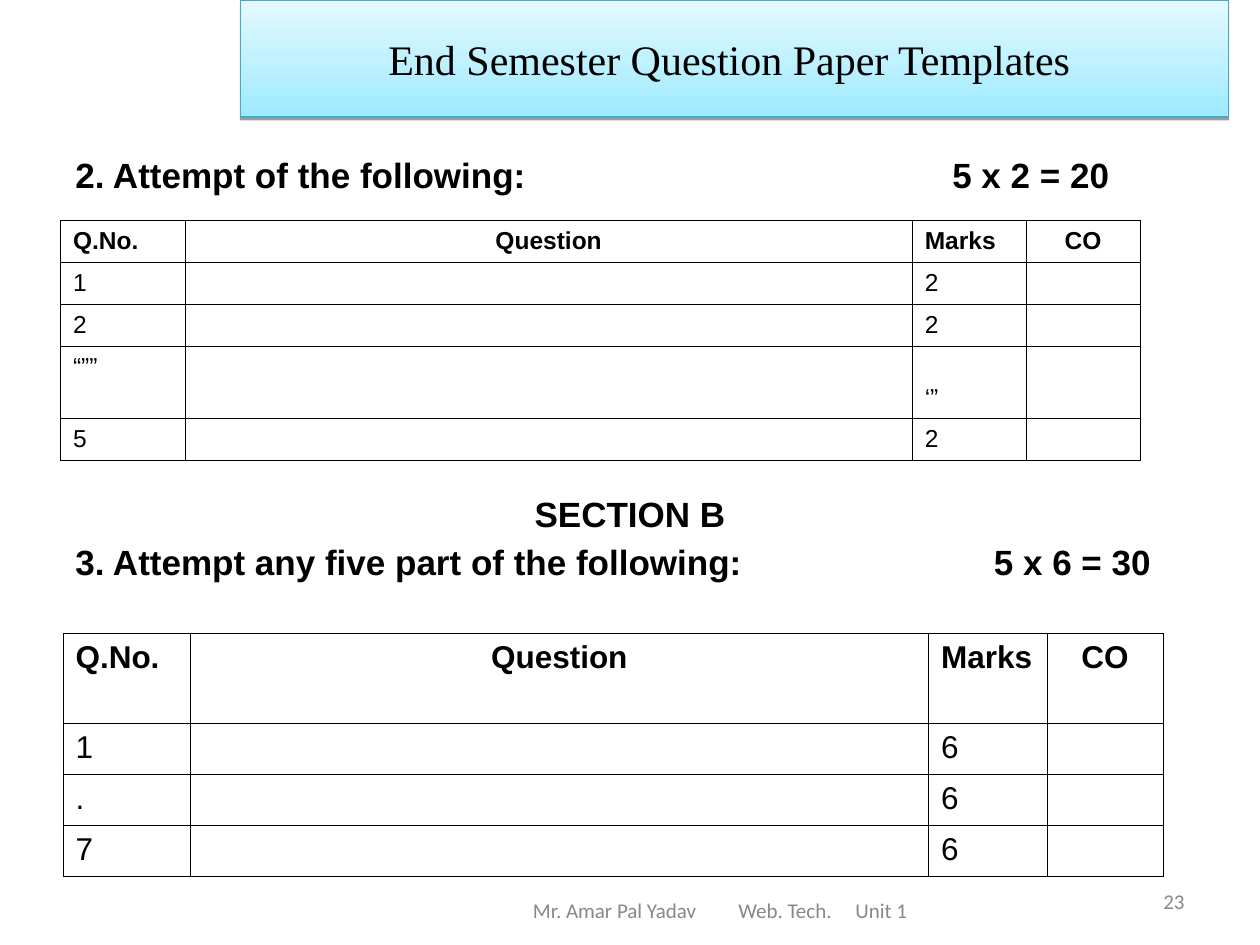
from dataclasses import dataclass

import lxml.etree
import pptx
import pptx.dml.color
import pptx.enum.shapes
import pptx.enum.text
import pptx.oxml.ns
import pptx.util

Align = pptx.enum.text.PP_ALIGN
Anchor = pptx.enum.text.MSO_ANCHOR
qn = pptx.oxml.ns.qn


@dataclass(frozen=True)
class Theme:
    ink: str = "000000"
    paper: str = "FFFFFF"
    gray: str = "888888"
    edge: str = "46AAC5"
    low: str = "9EEAFF"
    high: str = "E4F9FF"
    title: int = 24
    head: int = 20
    foot: int = 12
    sans: str = "Arial"
    serif: str = "Times New Roman"
    small: str = "Calibri"


@dataclass(frozen=True)
class Box:
    """Place on a grid of 100 columns by 75 rows."""
    col: float
    row: float
    wide: float
    high: float


@dataclass(frozen=True)
class Line:
    text: str
    align: Align = Align.LEFT
    before: float = 0
    tabs: tuple[float, ...] = ()


@dataclass(frozen=True)
class Grid:
    box: Box
    size: int
    cols: tuple[float, ...]
    rows: tuple[float, ...]
    marks: tuple[tuple[str, str], ...]


THEME = Theme()
HEADS = ("Q.No.", "Question", "Marks", "CO")
GRIDS = (
    Grid(Box(4.8, 17.5, 85.7, 18.9), 14, (9.9, 57.7, 9.05, 9.05),
         (3.3, 3.3, 3.3, 5.7, 3.3),
         (("1", "2"), ("2", "2"), ("“””", "‘”"), ("5", "2"))),
    Grid(Box(5, 50.3, 87.3, 19.25), 18, (10.1, 58.6, 9.4, 9.2),
         (7.1, 4.05, 4.05, 4.05),
         (("1", "6"), (".", "6"), ("7", "6"))),
)


def unit(count: float) -> int:
    return pptx.util.Inches(count / 10)


def place(box: Box) -> tuple[int, ...]:
    return tuple(unit(n) for n in (box.col, box.row, box.wide, box.high))


def rgb(code: str) -> pptx.dml.color.RGBColor:
    return pptx.dml.color.RGBColor.from_string(code)


def node(root, tag: str, **attrs):
    return lxml.etree.SubElement(root, qn(tag), **attrs)


def style(para, size: int, face: str, ink: str, bold: bool = False) -> None:
    for run in para.runs:
        font = run.font
        font.size, font.name, font.bold = pptx.util.Pt(size), face, bold
        font.color.rgb = rgb(ink)


def write(slide, box: Box, lines: list[Line], size: int, face: str,
          ink: str, bold: bool = False, anchor: Anchor = Anchor.TOP):
    frame = slide.shapes.add_textbox(*place(box)).text_frame
    frame.word_wrap = True
    frame.vertical_anchor = anchor
    frame.text = "\n".join(line.text for line in lines)
    for para, line in zip(frame.paragraphs, lines):
        para.alignment = line.align
        if line.before:
            para.space_before = pptx.util.Pt(line.before)
        if line.tabs:
            stops = node(para._p.get_or_add_pPr(), "a:tabLst")
            for stop in line.tabs:
                node(stops, "a:tab", pos=str(unit(stop)), algn="l")
        style(para, size, face, ink, bold)
    return frame


def banner(slide, text: str) -> None:
    shape = slide.shapes.add_shape(
        pptx.enum.shapes.MSO_SHAPE.RECTANGLE, *place(Box(19.1, 0, 78.4, 9.3)))
    shape.fill.gradient()
    shape.fill.gradient_angle = 90
    for stop, code in zip(shape.fill.gradient_stops, (THEME.low, THEME.high)):
        stop.color.rgb = rgb(code)
    shape.line.color.rgb = rgb(THEME.edge)
    shape.line.width = pptx.util.Pt(0.75)
    shape.shadow.inherit = False
    effects = shape._element.spPr.find(qn("a:effectLst"))
    shade = node(effects, "a:outerShdw", blurRad="0", dist="20000",
                 dir="5400000", rotWithShape="0")
    node(node(shade, "a:srgbClr", val=THEME.ink), "a:alpha", val="38000")
    frame = shape.text_frame
    frame.margin_right = unit(1.8)
    frame.vertical_anchor = Anchor.MIDDLE
    frame.text = text
    frame.paragraphs[0].alignment = Align.CENTER
    style(frame.paragraphs[0], THEME.title, THEME.serif, THEME.ink)


def border(cell) -> None:
    props = cell._tc.get_or_add_tcPr()
    for side in "LRTB":
        edge = node(props, f"a:ln{side}", w=str(pptx.util.Pt(0.45)))
        node(node(edge, "a:solidFill"), "a:srgbClr", val=THEME.ink)


def table(slide, grid: Grid) -> None:
    body = slide.shapes.add_table(
        len(grid.rows), len(grid.cols), *place(grid.box)).table
    body.first_row = body.horz_banding = False
    for col, wide in zip(body.columns, grid.cols):
        col.width = unit(wide)
    for row, high in zip(body.rows, grid.rows):
        row.height = unit(high)
    texts = [HEADS] + [(num, "", mark, "") for num, mark in grid.marks]
    for r, row in enumerate(texts):
        for c, text in enumerate(row):
            cell = body.cell(r, c)
            border(cell)
            cell.fill.solid()
            cell.fill.fore_color.rgb = rgb(THEME.paper)
            para = cell.text_frame.paragraphs[0]
            para.text = text
            para.alignment = Align.CENTER if c % 2 else Align.LEFT
            style(para, grid.size, THEME.sans, THEME.ink, r == 0)
            if not text:
                node(para._p, "a:endParaRPr", sz=str(grid.size * 100))
            if text == "‘”":
                cell.vertical_anchor = Anchor.BOTTOM


def main() -> None:
    deck = pptx.Presentation()
    deck.slide_width, deck.slide_height = unit(100), unit(75)
    slide = deck.slides.add_slide(deck.slide_layouts[6])
    banner(slide, "End Semester Question Paper Templates")
    write(slide, Box(5, 11.7, 90, 52), [
        Line("2. Attempt of the following:\t5 x 2 = 20", tabs=(69.6,)),
        Line("SECTION B", Align.CENTER, before=169.4),
        Line("3. Attempt any five part of the following:\t5 x 6 = 30",
             before=3.6, tabs=(72.9,)),
    ], THEME.head, THEME.sans, THEME.ink, bold=True)
    for grid in GRIDS:
        table(slide, grid)
    foot = write(slide, Box(34.2, 69.5, 46, 5.5), [
        Line("Mr. Amar Pal Yadav\tWeb. Tech.\tUnit 1", tabs=(16.3, 25.6)),
    ], THEME.foot, THEME.small, THEME.gray, anchor=Anchor.MIDDLE)
    foot.margin_left = unit(8.1)
    write(slide, Box(71.7, 69.5, 23.3, 4), [Line("23", Align.RIGHT)],
          THEME.foot, THEME.small, THEME.gray, anchor=Anchor.MIDDLE)
    deck.save("out.pptx")


if __name__ == "__main__":
    main()
